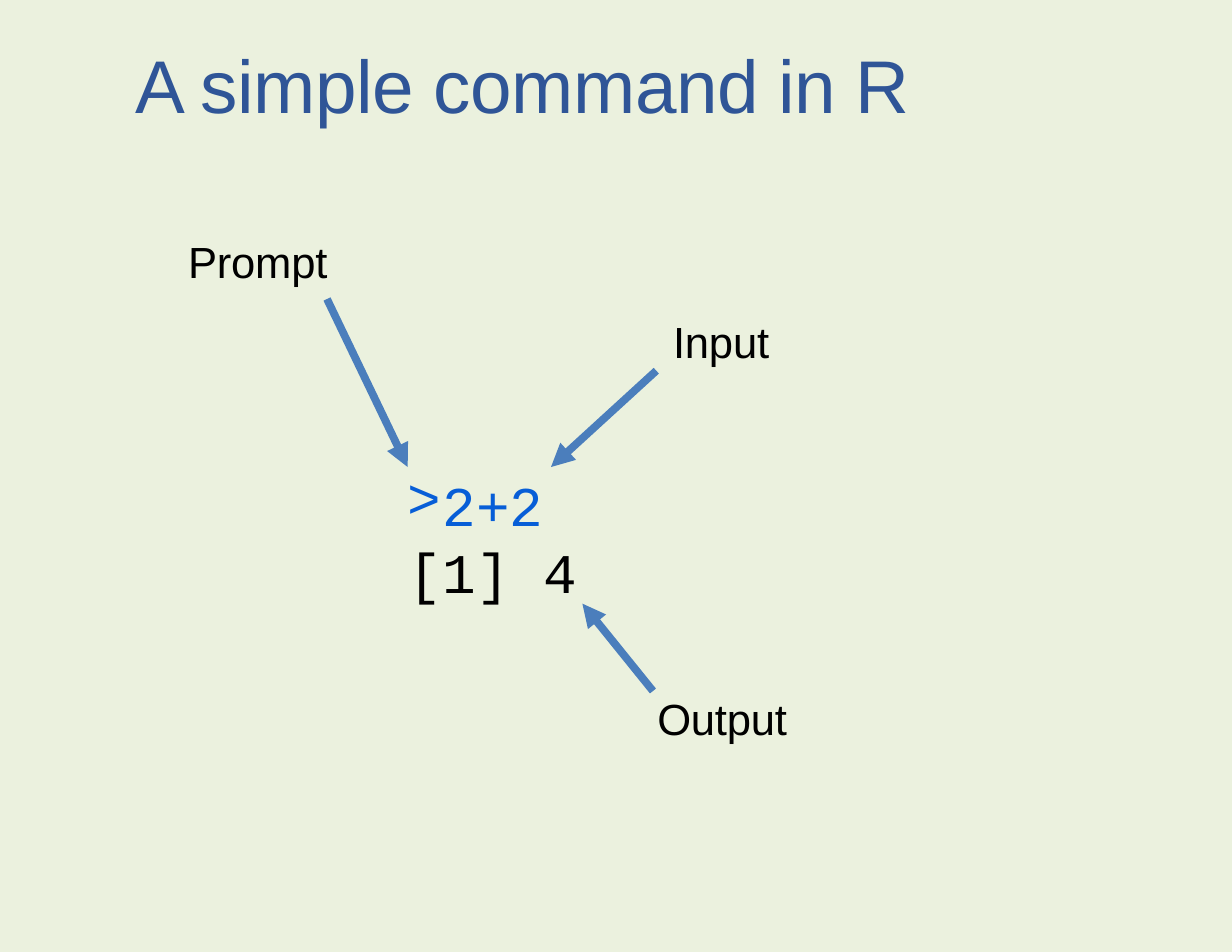
from pptx import Presentation, util as u
from pptx.dml.color import RGBColor
from pptx.enum import shapes, text
from pptx.oxml.ns import qn
from lxml import etree

BACKGROUND, BLUE, INPUT_BLUE, ARROW_BLUE, BLACK = "EBF1DE", "2F5597", "075ED7", "4B7EBC", "000000"
TITLE = "A simple command in R"
TITLE_BOX = (0.32, 0.32, 8.68, 0.83)
CONSOLE_BOX = (3.64, 4.17, 3.63, 1.23)
LABELS = [
    ("Prompt", (1.67, 2.07, 3.36, 0.48)),
    ("Input", (6, 2.78, 2.37, 0.48)),
    ("Output", (5.86, 6.15, 3.14, 0.48)),
]
ARROWS = [
    ((2.92, 2.67), (3.64, 4.17)),
    ((5.83, 6.17), (5.2, 5.39)),
    ((5.86, 3.31), (4.92, 4.17)),
]


def color(value):
    return RGBColor.from_string(value)


def place(s, box):
    s.left, s.top, s.width, s.height = map(u.Inches, box)
    tf = s.text_frame
    tf.word_wrap = True
    tf.auto_size = text.MSO_AUTO_SIZE.NONE
    tf.vertical_anchor = text.MSO_ANCHOR.TOP
    tf.margin_left = tf.margin_right = tf.margin_bottom = 0
    tf.margin_top = u.Inches(0.03)
    return tf


def write(p, content, size, fill=BLACK, font="Arial", align=text.PP_ALIGN.LEFT,
          spacing=0, bullet=None, indent=0.01):
    pPr = p._p.get_or_add_pPr()
    pPr.set("marL", str(u.Inches(indent)))
    pPr.set("indent", str(-u.Inches(indent) if bullet else 0))
    if bullet:
        etree.SubElement(pPr, qn("a:buFont"), typeface=font)
        etree.SubElement(pPr, qn("a:buChar"), char=bullet)
    p.alignment = align
    p.space_before = u.Pt(0)
    r = p.add_run()
    r.text = content
    r.font.size, r.font.name = u.Pt(size), font
    r.font.color.rgb = color(fill)
    r._r.get_or_add_rPr().set("spc", str(round(spacing * 100)))


def add_arrow(slide, start, end):
    c = slide.shapes.add_connector(shapes.MSO_CONNECTOR.STRAIGHT, *map(u.Inches, start + end))
    c.line.color.rgb = color(ARROW_BLUE)
    c.line.width = u.Pt(5)
    etree.SubElement(c.line._get_or_add_ln(), qn("a:tailEnd"), type="triangle")
    etree.SubElement(c._element.spPr, qn("a:effectLst"))


def main():
    prs = Presentation()
    prs.slide_width, prs.slide_height = u.Inches(11), u.Inches(8.5)
    s = prs.slides.add_slide(prs.slide_layouts[5])
    s.background.fill.solid()
    s.background.fill.fore_color.rgb = color(BACKGROUND)

    tf = place(s.shapes.title, TITLE_BOX)
    write(tf.paragraphs[0], TITLE, 48, BLUE, align=text.PP_ALIGN.CENTER, spacing=-0.3)

    tf = place(s.shapes.add_textbox(0, 0, 0, 0), CONSOLE_BOX)
    write(tf.paragraphs[0], "2+2", 36, INPUT_BLUE, "Courier New", spacing=0.1,
          bullet=">", indent=0.31)
    write(tf.add_paragraph(), "[1] 4", 36, font="Courier New", spacing=0.1)

    for label, box in LABELS:
        tf = place(s.shapes.add_textbox(0, 0, 0, 0), box)
        write(tf.paragraphs[0], label, 28, spacing=-0.1)
    for start, end in ARROWS:
        add_arrow(s, start, end)
    prs.save("out.pptx")


if __name__ == "__main__":
    main()
